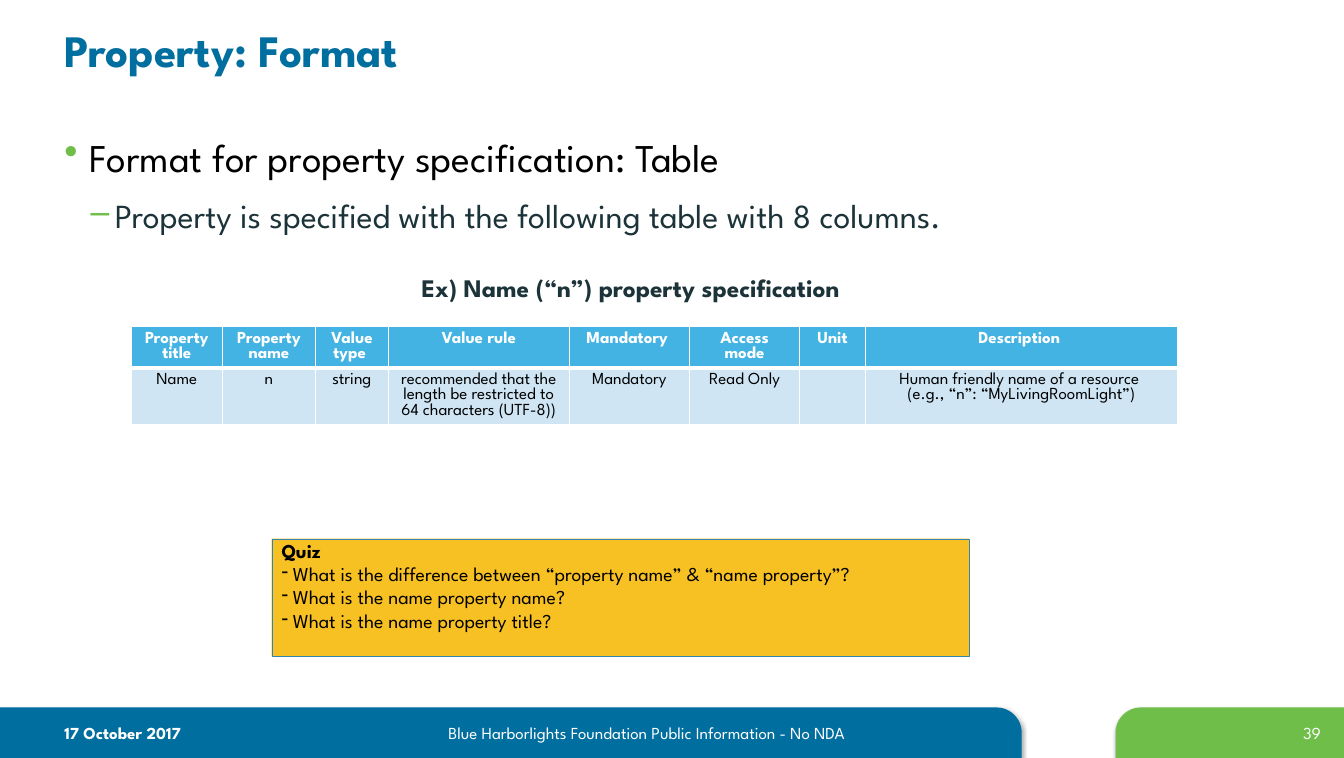
from dataclasses import dataclass
from lxml.etree import SubElement
from pptx import Presentation
from pptx.dml.color import RGBColor
from pptx.enum.shapes import MSO_SHAPE
from pptx.enum.text import MSO_ANCHOR, PP_ALIGN
from pptx.oxml.ns import qn
from pptx.util import Cm, Pt


@dataclass(frozen=True)
class Theme:
    font: str = "League Spartan"
    blue: str = "006E9F"
    green: str = "6EBE49"
    header: str = "43B3E3"
    row: str = "CFE5F4"
    yellow: str = "F7C123"
    outline: str = "3284A8"
    ink: str = "1C3339"
    black: str = "000000"
    white: str = "FFFFFF"
    title_size: float = 32
    body_size: float = 28
    sub_size: float = 24
    caption_size: float = 18
    quiz_size: float = 14
    small_size: float = 12
    leading: float = 1.19
    tight: float = 0.92


THEME = Theme()


def add_solid(parent, color):
    fill = SubElement(parent, qn("a:solidFill"))
    return SubElement(fill, qn("a:srgbClr"), val=color)


def write(frame, text, size=THEME.small_size, color=THEME.black, bold=False,
          align=PP_ALIGN.LEFT, leading=THEME.leading, before=0, after=0,
          bullet=None, bullet_color=None, margin=0, hang=0, new=False):
    """Write one formatted paragraph into a text frame."""
    para = frame.add_paragraph() if new else frame.paragraphs[0]
    para.alignment = align
    para.line_spacing = Pt(size * leading)
    para.space_before, para.space_after = Pt(before), Pt(after)
    span = para.add_run()
    span.text = text
    span.font.name, span.font.size, span.font.bold = THEME.font, Pt(size), bold
    span.font.color.rgb = RGBColor.from_string(color)
    if bullet:
        props = para._p.get_or_add_pPr()
        props.set("marL", str(Cm(margin)))
        props.set("indent", str(-Cm(hang)))
        if bullet_color:
            SubElement(SubElement(props, qn("a:buClr")), qn("a:srgbClr"),
                       val=bullet_color)
        SubElement(props, qn("a:buChar"), char=bullet)


class SlideBuilder:
    def __init__(self, deck, theme):
        self.theme = theme
        self.slide = deck.slides.add_slide(deck.slide_layouts[5])

    def title(self, text, left, top, width, height):
        box = self.slide.shapes.title
        box.left, box.top, box.width, box.height = map(
            Cm, (left, top, width, height))
        box.text_frame.word_wrap = True
        box.text_frame.vertical_anchor = MSO_ANCHOR.MIDDLE
        write(box.text_frame, text, size=self.theme.title_size,
              color=self.theme.blue, bold=True)

    def text(self, left, top, width, height):
        box = self.slide.shapes.add_textbox(*map(Cm, (left, top, width, height)))
        box.text_frame.word_wrap = True
        return box.text_frame

    def shape(self, kind, fill, left, top, width, height):
        shape = self.slide.shapes.add_shape(
            kind, *map(Cm, (left, top, width, height)))
        shape.shadow.inherit = False
        shape.fill.solid()
        shape.fill.fore_color.rgb = RGBColor.from_string(fill)
        shape.line.fill.background()
        return shape

    def footer_tab(self, fill, left, width, flip=False):
        tab = self.shape(MSO_SHAPE.ROUND_1_RECTANGLE, fill, left, 17.78, width, 1.27)
        tab.adjustments[0] = 0.5
        props = tab._element.spPr
        if flip:
            props.find(qn("a:xfrm")).set("flipH", "1")
        shadow = SubElement(props.find(qn("a:effectLst")), qn("a:outerShdw"),
                            blurRad=str(Pt(3.1)), dist=str(Pt(1.8)),
                            dir="5400000", rotWithShape="0")
        color = SubElement(shadow, qn("a:srgbClr"), val=self.theme.black)
        SubElement(color, qn("a:alpha"), val="35000")

    def panel(self, fill, outline, left, top, width, height):
        panel = self.shape(MSO_SHAPE.RECTANGLE, fill, left, top, width, height)
        panel.line.color.rgb = RGBColor.from_string(outline)
        panel.line.width = Pt(0.25)
        frame = panel.text_frame
        frame.word_wrap = True
        frame.vertical_anchor = MSO_ANCHOR.TOP
        frame.margin_top = frame.margin_bottom = 0
        return frame

    def borders(self, cell, **widths):
        props = cell._tc.get_or_add_tcPr()
        for index, (side, width) in enumerate(widths.items()):
            line = SubElement(props, qn(f"a:ln{side}"), w=str(Pt(width)))
            add_solid(line, self.theme.white)
            props.remove(line)
            props.insert(index, line)

    def table(self, rows, left, top, widths, heights):
        table = self.slide.shapes.add_table(
            len(rows), len(widths), Cm(left), Cm(top),
            Cm(sum(widths)), Cm(sum(heights))).table
        for column, width in zip(table.columns, widths):
            column.width = Cm(width)
        for number, (row, height) in enumerate(zip(rows, heights)):
            head = number == 0
            table.rows[number].height = Cm(height)
            for cell, text in zip(table.rows[number].cells, row):
                cell.fill.solid()
                cell.fill.fore_color.rgb = RGBColor.from_string(
                    self.theme.header if head else self.theme.row)
                self.borders(cell, L=1, R=1, T=1 if head else 3, B=3 if head else 1)
                for index, line in enumerate(text.split("\n")):
                    write(cell.text_frame, line, bold=head, new=index > 0,
                          color=self.theme.white if head else self.theme.black,
                          align=PP_ALIGN.CENTER, leading=self.theme.tight)


def main():
    deck = Presentation()
    deck.slide_width, deck.slide_height = Cm(33.78), Cm(19.05)
    page = SlideBuilder(deck, THEME)

    # Footer bars
    page.footer_tab(THEME.blue, 0, 25.68)
    page.footer_tab(THEME.green, 28.04, 5.74, flip=True)

    # Title and bullets
    page.title("Property: Format", 1.37, 0.25, 28.6, 2.01)
    body = page.text(1.37, 3.23, 31.12, 13.79)
    write(body, "Format for property specification: Table",
          size=THEME.body_size, after=6, bullet="•",
          bullet_color=THEME.green, margin=0.64, hang=0.64)
    write(body, "Property is specified with the following table with 8 columns.",
          size=THEME.sub_size, color=THEME.ink, before=4.8, after=6, bullet="–",
          bullet_color=THEME.green, margin=1.27, hang=0.61, new=True)

    # Footer text
    write(page.text(1.37, 18.03, 6.45, 0.74), "17 October 2017",
          color=THEME.white, bold=True)
    write(page.text(8.31, 18.03, 15.9, 0.71),
          "Blue Harborlights Foundation Public Information - No NDA",
          color=THEME.white, align=PP_ALIGN.CENTER)
    write(page.text(30.05, 18.03, 3.4, 0.97), "39",
          color=THEME.white, align=PP_ALIGN.RIGHT)

    # Property table with its caption
    page.table(
        [["Property title", "Property name", "Value type ", "Value rule",
          "Mandatory ", "Access mode", "Unit", "Description "],
         ["Name", "n", "string",
          "recommended that the length be restricted to 64 characters (UTF-8))",
          "Mandatory", "Read Only", "",
          "Human friendly name of a resource \n(e.g., “n”: “MyLivingRoomLight”)"]],
        3.3, 8.2, [2.29, 2.34, 1.83, 4.55, 3.02, 2.77, 1.65, 7.85], [1.04, 1.38])
    write(page.text(7.62, 6.73, 16.64, 1.09),
          "Ex) Name (“n”) property specification ", size=THEME.caption_size,
          color=THEME.ink, bold=True, align=PP_ALIGN.CENTER)

    # Quiz
    quiz = page.panel(THEME.yellow, THEME.outline, 6.83, 13.54, 17.53, 2.95)
    write(quiz, "Quiz", size=THEME.quiz_size, bold=True)
    for question in (
            "What is the difference between “property name” & “name property”?",
            "What is the name property name?",
            "What is the name property title?"):
        write(quiz, question, size=THEME.quiz_size, bullet="-",
              margin=0.28, hang=0.28, new=True)

    deck.save("out.pptx")


if __name__ == "__main__":
    main()
